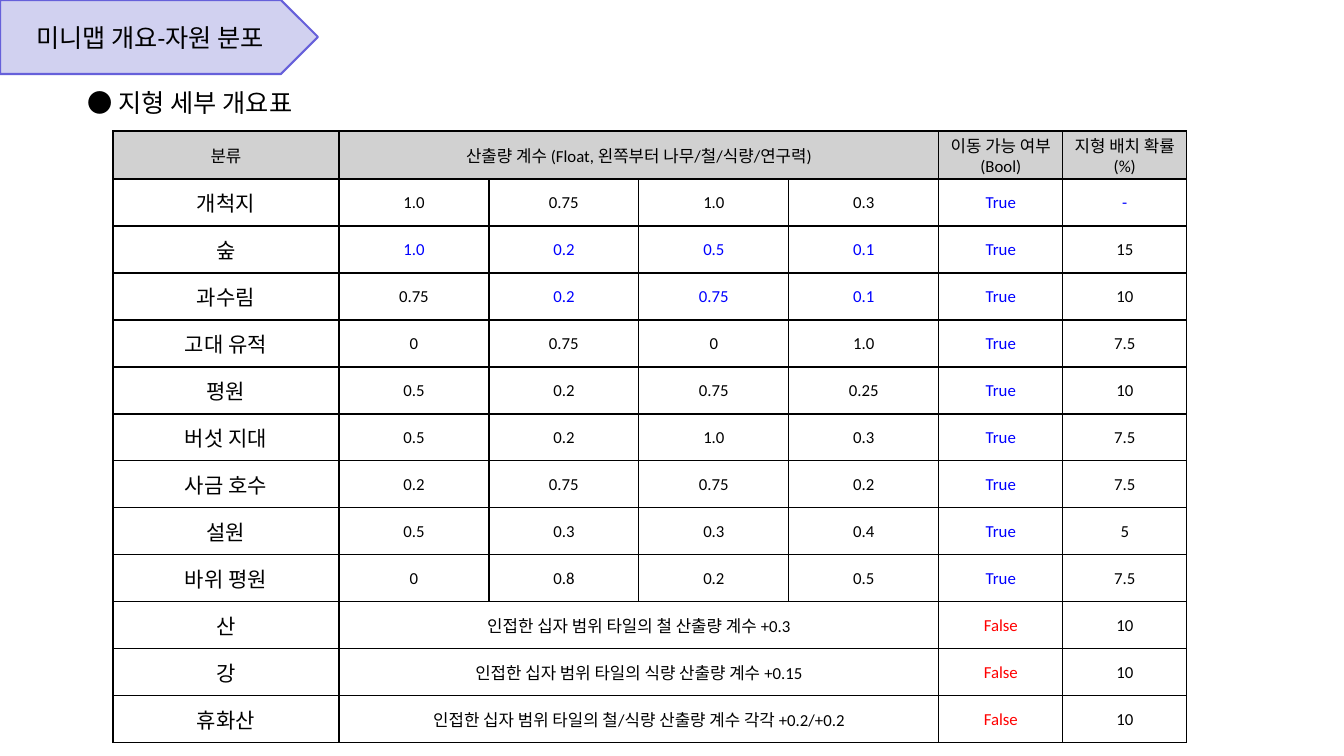
from lxml.etree import SubElement
from pptx import Presentation
from pptx.dml.color import RGBColor
from pptx.enum.shapes import MSO_SHAPE
from pptx.enum.text import MSO_ANCHOR, MSO_AUTO_SIZE, PP_ALIGN
from pptx.oxml.ns import qn
from pptx.util import Pt

EMU_PER_PX = 12192000 / 1344
BLACK, WHITE, BLUE, RED = "000000", "FFFFFF", "0000FF", "FF0000"
HEADER_GRAY = "D1D1D1"

COLUMN_WIDTHS = [226] + [150] * 4 + [124] * 2
HEADER_HEIGHT, ROW_HEIGHT = 48, 47
YIELD_COLUMNS = range(1, 5)
MOVABLE_COLUMN, CHANCE_COLUMN = 5, 6

# A single yield entry spans all four yield columns.
TERRAINS = [
    ("개척지", ["1.0", "0.75", "1.0", "0.3"], "True", "-"),
    ("숲", ["1.0", "0.2", "0.5", "0.1"], "True", "15"),
    ("과수림", ["0.75", "0.2", "0.75", "0.1"], "True", "10"),
    ("고대 유적", ["0", "0.75", "0", "1.0"], "True", "7.5"),
    ("평원", ["0.5", "0.2", "0.75", "0.25"], "True", "10"),
    ("버섯 지대", ["0.5", "0.2", "1.0", "0.3"], "True", "7.5"),
    ("사금 호수", ["0.2", "0.75", "0.75", "0.2"], "True", "7.5"),
    ("설원", ["0.5", "0.3", "0.3", "0.4"], "True", "5"),
    ("바위 평원", ["0", "0.8", "0.2", "0.5"], "True", "7.5"),
    ("산", ["인접한 십자 범위 타일의 철 산출량 계수 +0.3"], "False", "10"),
    ("강", ["인접한 십자 범위 타일의 식량 산출량 계수 +0.15"], "False", "10"),
    ("휴화산", ["인접한 십자 범위 타일의 철/식량 산출량 계수 각각 +0.2/+0.2"], "False", "10"),
]
HEADER = ("분류", ["산출량 계수 (Float, 왼쪽부터 나무/철/식량/연구력)"],
          "이동 가능 여부\n(Bool)", "지형 배치 확률\n(%)")
BLUE_YIELDS = {"숲": [1, 2, 3, 4], "과수림": [2, 3, 4]}


def px(length):
    return round(length * EMU_PER_PX)


def rgb(value):
    return RGBColor.from_string(value)


def set_all(target, values):
    for name, value in values.items():
        setattr(target, name, value)


def paint(target, color):
    target.fill.solid()
    target.fill.fore_color.rgb = rgb(color)


def write(frame, text, size, color=BLACK, align=PP_ALIGN.CENTER):
    frame.text = text
    for paragraph in frame.paragraphs:
        set_all(paragraph, {"alignment": align, "space_before": Pt(0)})
        set_all(paragraph.font, {"name": "Calibri", "size": Pt(size), "bold": False})
        paragraph.font.color.rgb = rgb(color)


def add_title(slide):
    banner = slide.shapes.add_shape(MSO_SHAPE.PENTAGON, 0, 0, px(318), px(74))
    banner.shadow.inherit = False
    paint(banner, "D1D1F0")
    banner.line.color.rgb = rgb("6660DA")
    banner.line.width = Pt(1.5)

    title = slide.shapes.title
    set_all(title, {"left": 0, "top": 0, "width": px(300), "height": px(74)})
    set_all(title.text_frame, {"vertical_anchor": MSO_ANCHOR.MIDDLE, "word_wrap": True,
                               "auto_size": MSO_AUTO_SIZE.NONE})
    write(title.text_frame, "미니맵 개요-자원 분포", 18)
    banner._element.addnext(title._element)  # keeps the title in front of its banner


def add_subtitle(slide):
    subtitle = slide.shapes.add_textbox(px(78), px(82), px(1191), px(40))
    subtitle.text_frame.word_wrap = True
    write(subtitle.text_frame, "● 지형 세부 개요표", 18, align=PP_ALIGN.LEFT)


def add_borders(cell):
    properties = cell._tc.get_or_add_tcPr()
    for position, side in enumerate(("a:lnL", "a:lnR", "a:lnT", "a:lnB")):
        border = SubElement(properties, qn(side), w=str(Pt(1)))
        fill = SubElement(border, qn("a:solidFill"))
        SubElement(fill, qn("a:srgbClr"), val=BLACK)
        properties.insert(position, border)  # borders come before the fill


def text_color(name, column, text):
    if text == "False":
        return RED
    if text in ("True", "-") or column in BLUE_YIELDS.get(name, []):
        return BLUE
    return BLACK


def fill_row(table, row, terrain):
    name, yields, movable, chance = terrain
    texts = {0: name, MOVABLE_COLUMN: movable, CHANCE_COLUMN: chance}
    texts.update(zip(YIELD_COLUMNS, yields))
    if len(yields) == 1:
        table.cell(row, YIELD_COLUMNS[0]).merge(table.cell(row, YIELD_COLUMNS[-1]))
    for column in range(len(COLUMN_WIDTHS)):
        cell = table.cell(row, column)
        paint(cell, WHITE if row else HEADER_GRAY)
        add_borders(cell)
        if column not in texts:
            continue
        is_name = row > 0 and column == 0
        cell.vertical_anchor = MSO_ANCHOR.MIDDLE
        if not is_name:
            set_all(cell, dict.fromkeys(
                ("margin_left", "margin_right", "margin_top", "margin_bottom"), 0))
        text = texts[column]
        write(cell.text_frame, text, 15 if is_name else 12, text_color(name, column, text))


def add_terrain_table(slide):
    heights = [HEADER_HEIGHT] + [ROW_HEIGHT] * len(TERRAINS)
    table = slide.shapes.add_table(len(heights), len(COLUMN_WIDTHS), px(113), px(131),
                                   px(sum(COLUMN_WIDTHS)), px(sum(heights))).table
    set_all(table, {"first_row": False, "horz_banding": False})
    for column, width in zip(table.columns, COLUMN_WIDTHS):
        column.width = px(width)
    for row, height in zip(table.rows, heights):
        row.height = px(height)
    for row, terrain in enumerate([HEADER] + TERRAINS):
        fill_row(table, row, terrain)


def main():
    presentation = Presentation()
    set_all(presentation, {"slide_width": px(1344), "slide_height": px(756)})
    slide = presentation.slides.add_slide(presentation.slide_layouts[5])
    add_title(slide)
    add_subtitle(slide)
    add_terrain_table(slide)
    presentation.save("out.pptx")


if __name__ == "__main__":
    main()
